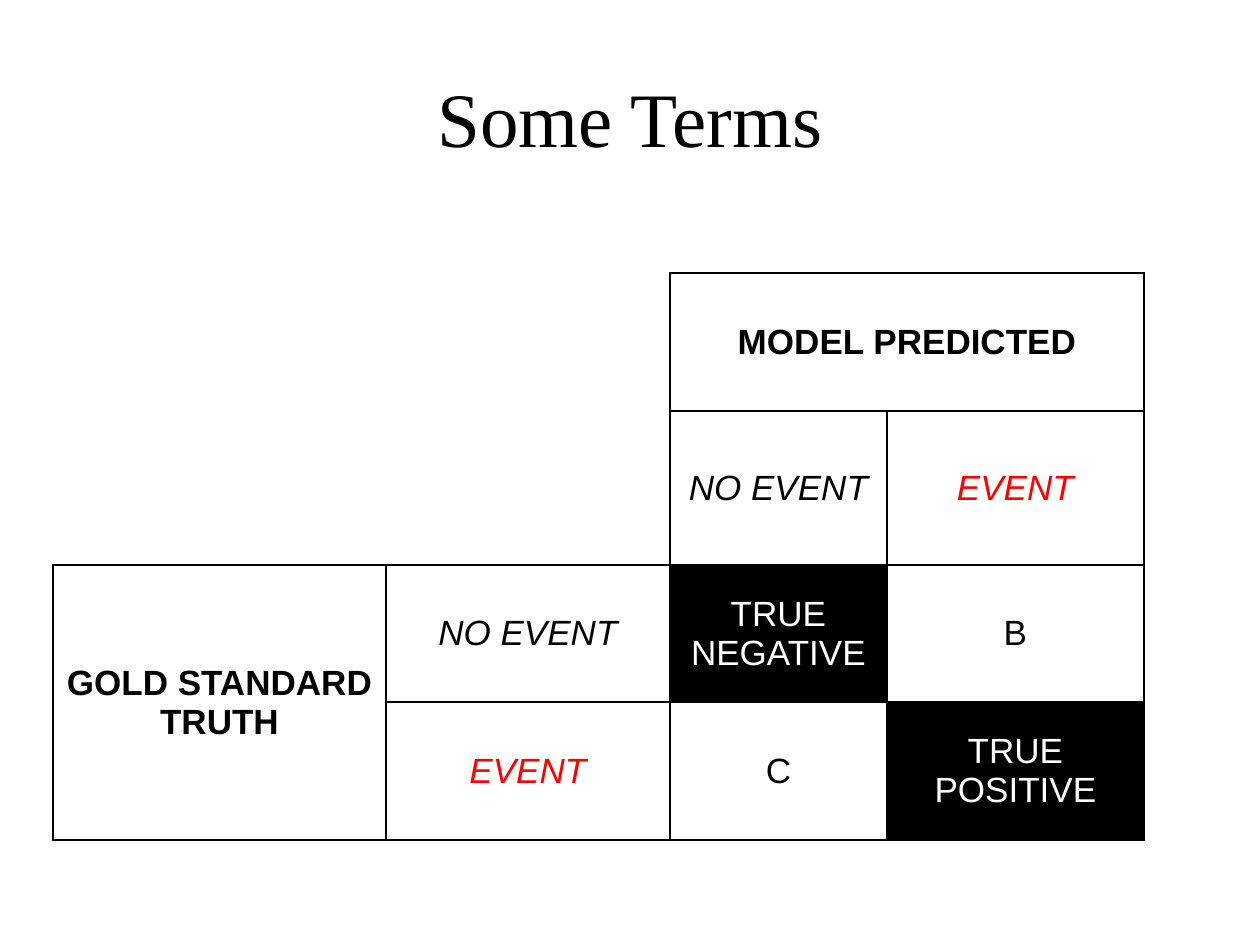
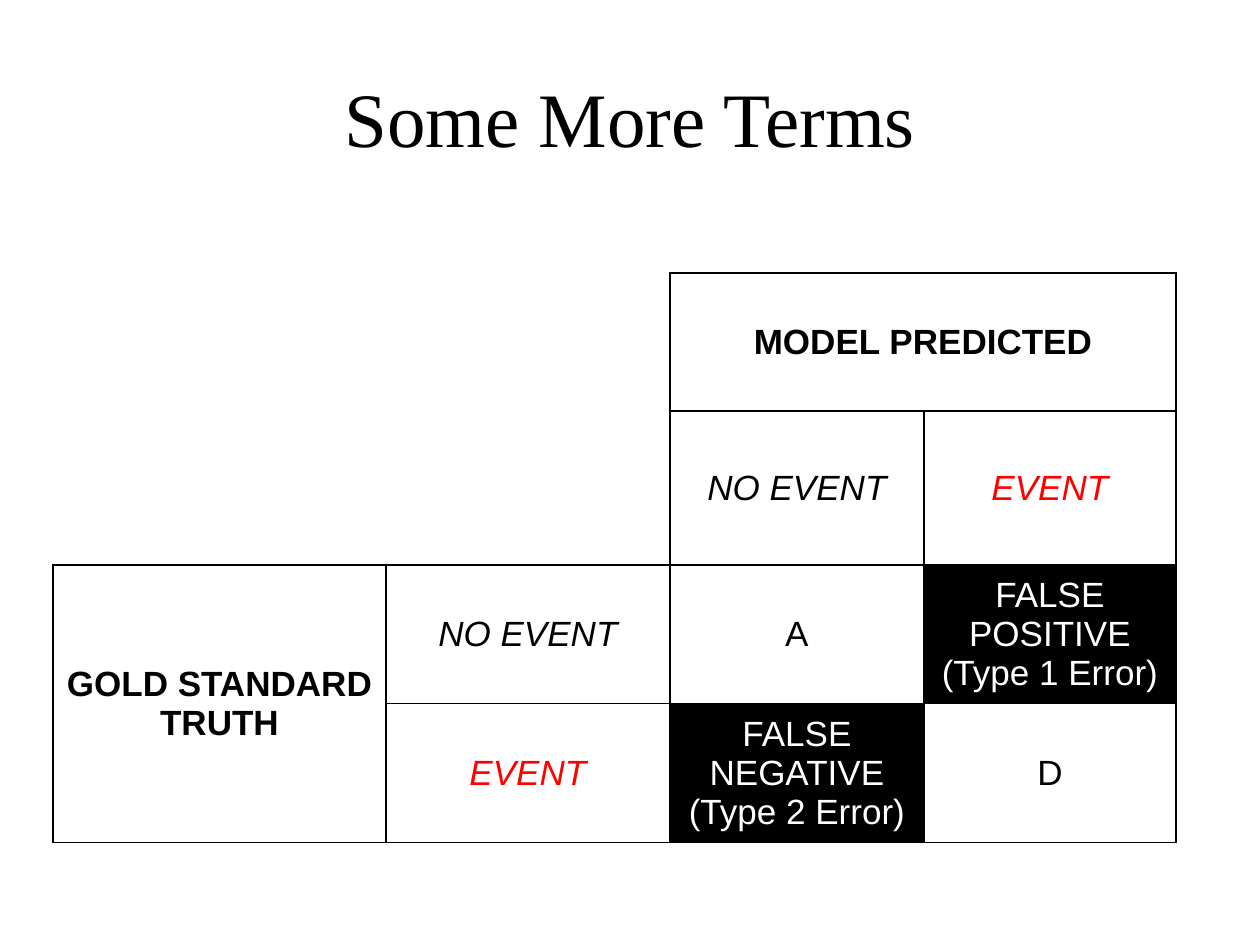
"""Two slides of confusion-matrix terms, each a title above a table."""
from lxml.etree import SubElement
from pptx import Presentation
from pptx.dml.color import RGBColor
from pptx.enum.text import MSO_ANCHOR as Anchor, PP_ALIGN as Align
from pptx.oxml.ns import qn
from pptx.util import Pt

PX = 914400 / 126
BLACK, WHITE, RED = "000000", "FFFFFF", "FF0000"
TITLE_BOX = (63, 38, 1134, 157)
TABLE_LEFT, TABLE_TOP = 53, 273
BORDER = 12700

TITLE = {"name": "Times New Roman", "size": Pt(44), "ink": BLACK}
PLAIN = {"name": "Arial", "size": Pt(20), "ink": BLACK}
HEADING = {**PLAIN, "bold": True}
NO_EVENT = {**PLAIN, "italic": True}
EVENT = {**NO_EVENT, "ink": RED}
TERM = {**PLAIN, "ink": WHITE}

HEADER_CELLS = {
    (0, 2): ("MODEL PREDICTED", HEADING),
    (1, 2): ("NO EVENT", NO_EVENT),
    (1, 3): ("EVENT", EVENT),
    (2, 0): ("GOLD STANDARD\nTRUTH", HEADING),
    (2, 1): ("NO EVENT", NO_EVENT),
    (3, 1): ("EVENT", EVENT),
}
SPANS = [((0, 0), (1, 1)), ((0, 2), (0, 3)), ((2, 0), (3, 0))]

SLIDES = [
    {
        "title": "Some Terms",
        "columns": (333, 284, 217, 257),
        "rows": (138, 154, 137, 138),
        "outcomes": {
            (2, 2): ("TRUE NEGATIVE", TERM),
            (2, 3): ("B", PLAIN),
            (3, 2): ("C", PLAIN),
            (3, 3): ("TRUE POSITIVE", TERM),
        },
    },
    {
        "title": "Some More Terms",
        "columns": (333, 284, 254, 252),
        "rows": (138, 154, 138, 138),
        "outcomes": {
            (2, 2): ("A", PLAIN),
            (2, 3): ("FALSE POSITIVE\n(Type 1 Error)", TERM),
            (3, 2): ("FALSE NEGATIVE\n(Type 2 Error)", TERM),
            (3, 3): ("D", PLAIN),
        },
    },
]


def px(length):
    return round(length * PX)


def color(code):
    return RGBColor.from_string(code)


def write(frame, text, style):
    frame.text = text
    for line in frame.paragraphs:
        line.alignment = Align.CENTER
        font = line.runs[0].font
        for key, value in style.items():
            if key == "ink":
                font.color.rgb = color(value)
            else:
                setattr(font, key, value)


def add_title(slide, text):
    frame = slide.shapes.add_textbox(*map(px, TITLE_BOX)).text_frame
    frame.word_wrap = True
    frame.vertical_anchor = Anchor.MIDDLE
    write(frame, text, TITLE)


def draw_borders(cell, hidden):
    properties = cell._tc.get_or_add_tcPr()
    for side in "LRTB":
        edge = SubElement(properties, qn(f"a:ln{side}"), w=str(BORDER))
        if side in hidden:
            SubElement(edge, qn("a:noFill"))
        else:
            ink = SubElement(edge, qn("a:solidFill"))
            SubElement(ink, qn("a:srgbClr"), val=BLACK)


def add_matrix(slide, columns, rows, outcomes):
    matrix = slide.shapes.add_table(
        len(rows), len(columns), px(TABLE_LEFT), px(TABLE_TOP),
        px(sum(columns)), px(sum(rows))).table
    matrix.first_row = matrix.horz_banding = False
    for column, width in zip(matrix.columns, columns):
        column.width = px(width)
    for row, height in zip(matrix.rows, rows):
        row.height = px(height)
    for first, last in SPANS:
        matrix.cell(*first).merge(matrix.cell(*last))

    contents = {**HEADER_CELLS, **outcomes}
    for row in range(len(rows)):
        for column in range(len(columns)):
            cell = matrix.cell(row, column)
            in_corner = row < 2 and column < 2
            draw_borders(cell, "LT" if in_corner else "")
            text, style = contents.get((row, column), ("", PLAIN))
            cell.fill.solid()
            cell.fill.fore_color.rgb = color(BLACK if style is TERM else WHITE)
            cell.vertical_anchor = Anchor.MIDDLE
            if text:
                write(cell.text_frame, text, style)


def main():
    deck = Presentation()
    deck.slide_width, deck.slide_height = px(1260), px(945)
    for content in SLIDES:
        slide = deck.slides.add_slide(deck.slide_layouts[6])
        add_title(slide, content["title"])
        add_matrix(slide, content["columns"], content["rows"], content["outcomes"])
    deck.save("out.pptx")


if __name__ == "__main__":
    main()
